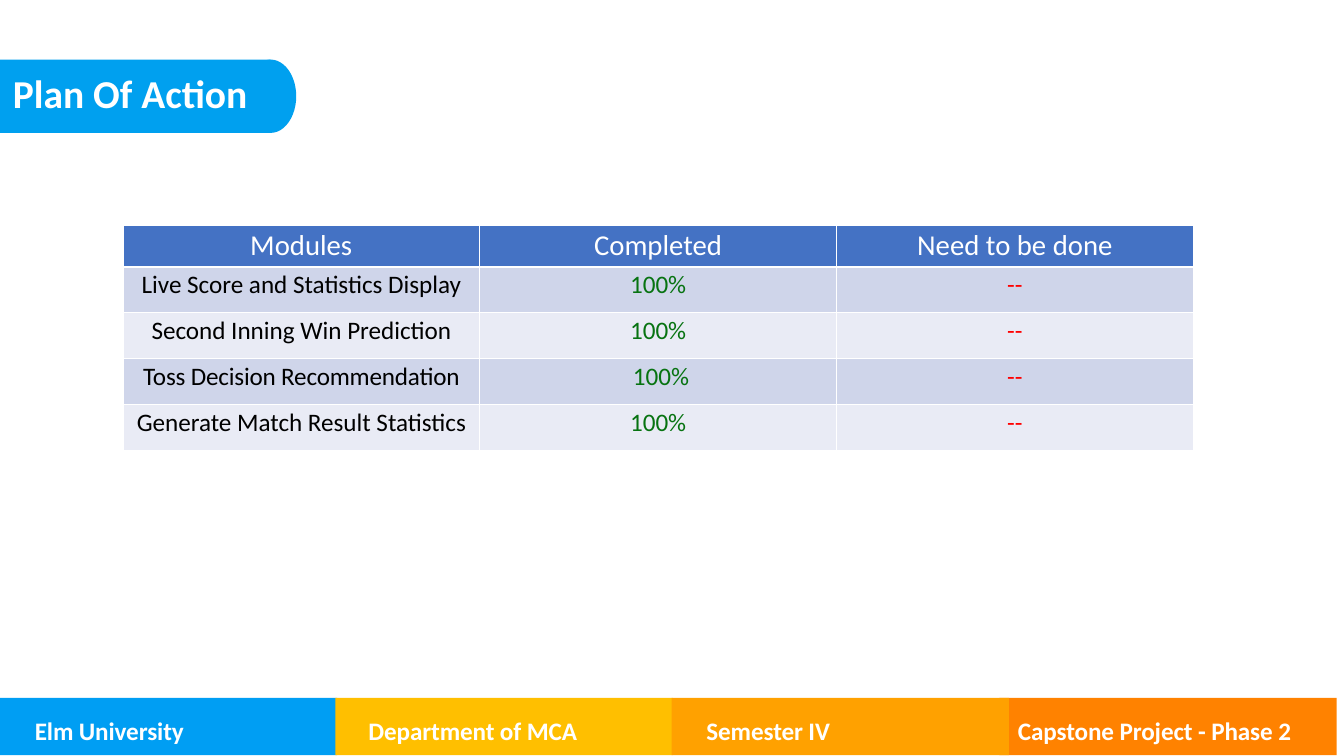
from lxml import etree
from pptx import Presentation
from pptx.dml.color import RGBColor
from pptx.enum.shapes import MSO_SHAPE
from pptx.enum.text import MSO_ANCHOR, PP_ALIGN
from pptx.oxml.ns import qn
from pptx.util import Cm, Pt

RECTANGLE, OVAL = MSO_SHAPE.RECTANGLE, MSO_SHAPE.OVAL
TOP, LEFT, CENTER = MSO_ANCHOR.TOP, PP_ALIGN.LEFT, PP_ALIGN.CENTER

COLORS = {
    "heading": "00A0EF", "blue": "009EF3", "yellow": "FFBF00",
    "amber": "FFA100", "orange": "FF8200", "white": "FFFFFF",
    "black": "000000", "green": "077311", "red": "FF0000",
    "header": "4472C4", "odd": "CFD5EA", "even": "E9EBF5",
}


def add_block(kind, left, top, width, height, color):
    block = slide.shapes.add_shape(kind, Cm(left), Cm(top), Cm(width), Cm(height))
    block.shadow.inherit = False
    block.fill.solid()
    block.fill.fore_color.rgb = RGBColor.from_string(COLORS[color])
    block.line.fill.background()


def write(frame, text, size, color, bold, align, spacing=0, before=0):
    paragraph = frame.paragraphs[0]
    paragraph.alignment = align
    paragraph.space_before = Pt(before)
    run = paragraph.add_run()
    run.text = text
    for name, value in {"name": "Calibri", "size": Pt(size), "bold": bold}.items():
        setattr(run.font, name, value)
    run.font.color.rgb = RGBColor.from_string(COLORS[color])
    if spacing:
        run.font._element.set("spc", str(spacing))


prs = Presentation()
prs.slide_width, prs.slide_height = Cm(52.81), Cm(29.69)
slide = prs.slides.add_slide(prs.slide_layouts[5])

FOOTER = [
    ("Elm University", "blue", 0, 0, 27.84),
    ("Capstone Project - Phase 2", "orange", 39.27, 38.63, 27.86),
    ("Department of MCA", "yellow", 13.18, 13.11, 27.86),
    ("Semester IV", "amber", 26.39, 26.39, 27.84),
]
for label, color, band_left, label_left, label_top in FOOTER:
    add_block(RECTANGLE, band_left, 27.41, 13.25, 2.25, color)
    caption = slide.shapes.add_textbox(
        Cm(label_left), Cm(label_top), Cm(13.25), Cm(1.43)).text_frame
    margins = {"margin_left": Cm(1.37), "margin_top": Cm(0.25),
               "margin_right": 0, "margin_bottom": 0, "word_wrap": True}
    for name, value in margins.items():
        setattr(caption, name, value)
    write(caption, label, 28, "white", True, LEFT, -10, 6.9)

add_block(RECTANGLE, 0, 2.34, 10.64, 2.88, "heading")
add_block(OVAL, 9.63, 2.34, 2.01, 2.88, "heading")

title = slide.shapes.title
title.left, title.top, title.width, title.height = Cm(0.48), Cm(2.67), Cm(15.37), Cm(1.9)
title_format = {"margin_left": Cm(0.03), "margin_top": Cm(0.03), "margin_right": 0,
                "margin_bottom": 0, "word_wrap": True, "vertical_anchor": TOP}
for name, value in title_format.items():
    setattr(title.text_frame, name, value)
write(title.text_frame, "Plan Of Action", 44, "white", True, LEFT, 0, 1)
slide.shapes._spTree.append(title._element)

PLAN = [
    ("Modules", "Completed", "Need to be done"),
    ("Live Score and Statistics Display", "100%", "--"),
    ("Second Inning Win Prediction", "100%", "--"),
    ("Toss Decision Recommendation", " 100%", "--"),
    ("Generate Match Result Statistics", "100%", "--"),
]
TEXT_COLORS = ("black", "green", "red")
plan = slide.shapes.add_table(
    len(PLAN), 3, Cm(4.83), Cm(8.84), Cm(42.06), Cm(8.83)).table
for column in plan.columns:
    column.width = Cm(14.02)
for r, values in enumerate(PLAN):
    is_header = r == 0
    plan.rows[r].height = Cm(1.63 if is_header else 1.8)
    row_fill = "header" if is_header else ("even", "odd")[r % 2]
    for c, value in enumerate(values):
        cell = plan.cell(r, c)
        properties = cell._tc.get_or_add_tcPr()
        for side in ("lnL", "lnR", "lnT", "lnB"):
            thick = (is_header and side == "lnB") or (r == 1 and side == "lnT")
            border = etree.SubElement(properties, qn(f"a:{side}"), w=str(Pt(3 if thick else 1)))
            border_fill = etree.SubElement(border, qn("a:solidFill"))
            etree.SubElement(border_fill, qn("a:srgbClr"), val=COLORS["white"])
        cell.fill.solid()
        cell.fill.fore_color.rgb = RGBColor.from_string(COLORS[row_fill])
        write(cell.text_frame, value, 32 if is_header else 28,
              "white" if is_header else TEXT_COLORS[c], False, CENTER,
              -20 if value.startswith("Toss") else 0)

prs.save("out.pptx")
